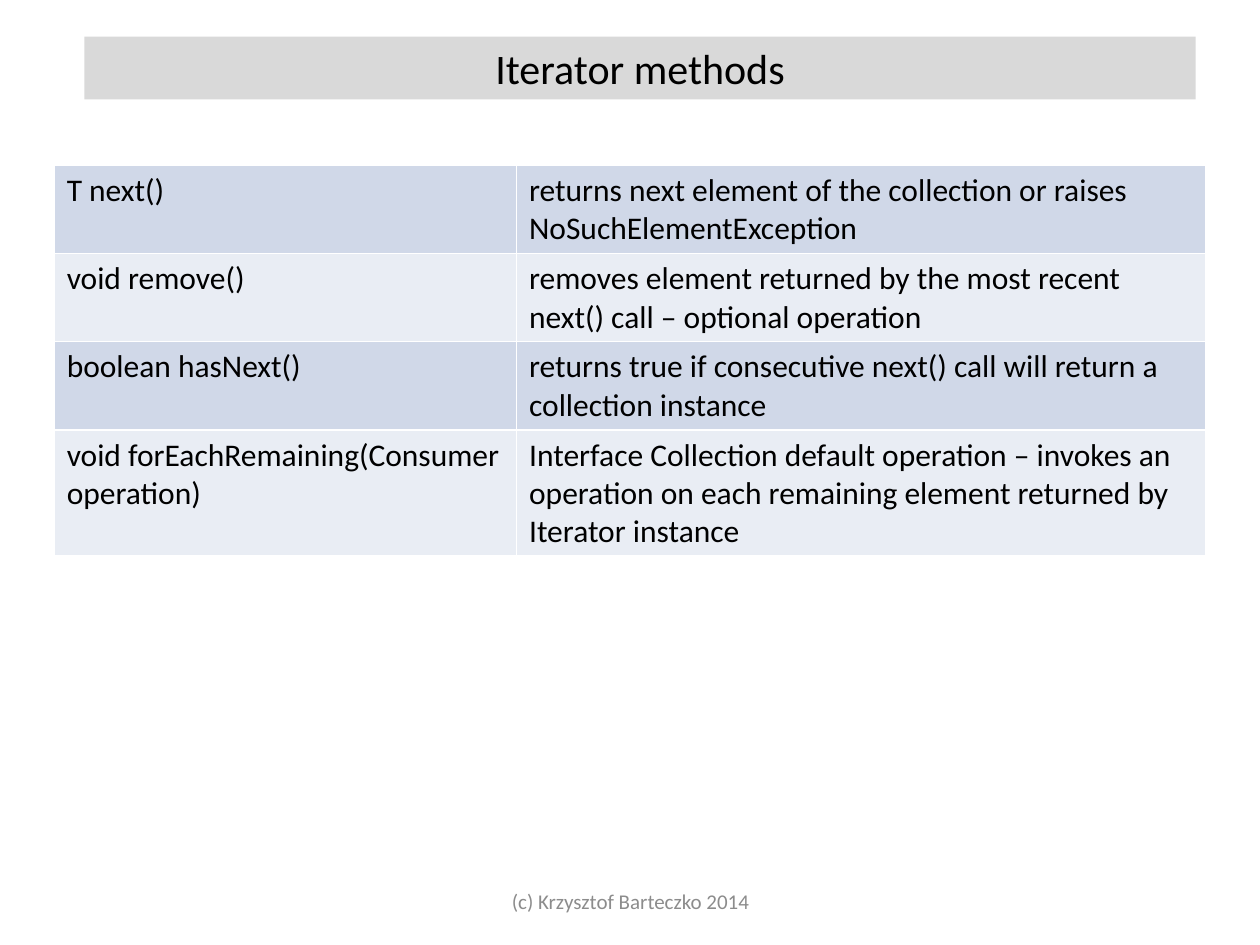
from dataclasses import dataclass

from pptx import Presentation
from pptx.dml.color import RGBColor
from pptx.enum.shapes import MSO_SHAPE
from pptx.enum.text import MSO_ANCHOR, PP_ALIGN
from pptx.oxml import parse_xml
from pptx.oxml.ns import nsdecls
from pptx.util import Inches, Pt


@dataclass(frozen=True)
class Theme:
    font: str = "Calibri"
    ink: str = "000000"
    muted: str = "8C8C8C"
    bar: str = "D9D9D9"
    bands: tuple = ("D0D8E8", "E9EDF4")
    border: str = "FFFFFF"
    title: int = 24
    body: int = 18
    note: int = 12


THEME = Theme()
METHODS = [
    ("T next()",
     "returns next element of the collection or raises NoSuchElementException"),
    ("void remove()",
     "removes element returned by the most recent next() call – optional operation"),
    ("boolean hasNext()",
     "returns true if consecutive next() call will return a collection instance"),
    ("void forEachRemaining(Consumer operation)",
     "Interface Collection default operation – invokes an operation on each "
     "remaining element returned by Iterator instance"),
]
COLS = (3.67, 5.47)
ROWS = (0.7, 0.7, 0.7, 1.0)


def paint(fill, color):
    fill.solid()
    fill.fore_color.rgb = RGBColor.from_string(color)


def write(frame, text, size, color, align=PP_ALIGN.LEFT):
    frame.word_wrap = True
    para = frame.paragraphs[0]
    para.alignment = align
    run = para.add_run()
    run.text = text
    run.font.name = THEME.font
    run.font.size = Pt(size)
    run.font.color.rgb = RGBColor.from_string(color)


def add_title(slide, text):
    bar = slide.shapes.add_shape(MSO_SHAPE.RECTANGLE, Inches(0.67), Inches(0.29),
                                 Inches(8.82), Inches(0.5))
    bar.shadow.inherit = False
    paint(bar.fill, THEME.bar)
    bar.line.fill.background()
    bar.text_frame.vertical_anchor = MSO_ANCHOR.TOP
    write(bar.text_frame, text, THEME.title, THEME.ink, PP_ALIGN.CENTER)


def add_footer(slide, text):
    box = slide.shapes.add_textbox(Inches(3.42), Inches(6.95),
                                   Inches(3.17), Inches(0.4))
    box.text_frame.vertical_anchor = MSO_ANCHOR.MIDDLE
    write(box.text_frame, text, THEME.note, THEME.muted, PP_ALIGN.CENTER)


def set_border(cell):
    """Draw a thin line on all four sides; call before filling the cell."""
    props = cell._tc.get_or_add_tcPr()
    for side in ("lnL", "lnR", "lnT", "lnB"):
        props.append(parse_xml(
            f'<a:{side} {nsdecls("a")} w="{Pt(1)}"><a:solidFill>'
            f'<a:srgbClr val="{THEME.border}"/></a:solidFill></a:{side}>'))


def add_grid(slide, rows):
    grid = slide.shapes.add_table(len(rows), len(COLS), Inches(0.43), Inches(1.31),
                                  Inches(sum(COLS)), Inches(sum(ROWS))).table
    grid.first_row = grid.horz_banding = False
    for col, width in zip(grid.columns, COLS):
        col.width = Inches(width)
    for i, (row, texts) in enumerate(zip(grid.rows, rows)):
        row.height = Inches(ROWS[i])
        for cell, text in zip(row.cells, texts):
            set_border(cell)
            paint(cell.fill, THEME.bands[i % 2])
            write(cell.text_frame, text, THEME.body, THEME.ink)


def main():
    deck = Presentation()
    deck.slide_width, deck.slide_height = Inches(10), Inches(7.5)
    slide = deck.slides.add_slide(deck.slide_layouts[6])
    add_footer(slide, "(c) Krzysztof Barteczko 2014")
    add_title(slide, "Iterator methods")
    add_grid(slide, METHODS)
    deck.save("out.pptx")


if __name__ == "__main__":
    main()
